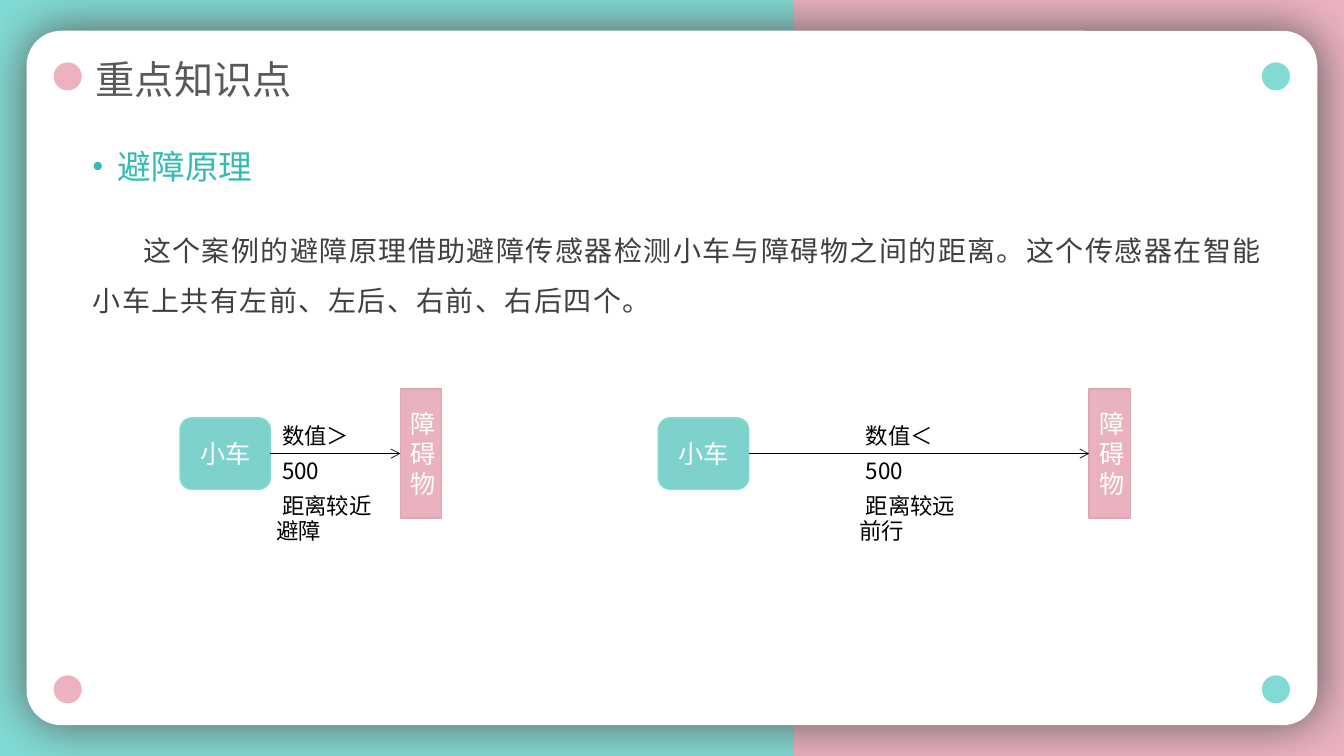
"""Build the slide on how the car avoids obstacles."""
from lxml import etree
from pptx import Presentation
from pptx.dml.color import RGBColor
from pptx.enum import shapes as kinds, text as modes
from pptx.oxml import ns
from pptx.util import Pt

HUES = {
    "mint": "81DBD4", "pink": "ECB2C0", "white": "FFFFFF", "gray": "595959",
    "teal": "35BBB1", "ink": "404040", "black": "000000",
    "car": "7ED2CC", "rim": "80DBD4", "wall": "EAB1BF", "edge": "DCA8B5",
}
FONT = "Noto Sans CJK SC"
FORM = kinds.MSO_SHAPE
ALIGN = modes.PP_ALIGN
MID = modes.MSO_ANCHOR.MIDDLE


def hue(name):
    """Return a named colour."""
    return RGBColor.from_string(HUES[name])


def sub(node, tag, **attrs):
    """Append a drawing element to a node."""
    return etree.SubElement(node, ns.qn(tag), attrs)


def add_run(par, words, size, color, font=FONT, gap=None):
    """Add one run of text to a paragraph."""
    run = par.add_run()
    run.text = words
    run.font.size = Pt(size)
    run.font.name = font
    run.font.color.rgb = hue(color)
    props = run.font._element
    sub(props, "a:ea", typeface=FONT)
    if gap:
        props.set("spc", str(gap * 100))


def add_form(tree, kind, box, fill, line=None, words=None):
    """Add a filled shape, with a border and a label if given."""
    form = tree.add_shape(kind, *map(Pt, box))
    form.shadow.inherit = False
    form.fill.solid()
    form.fill.fore_color.rgb = hue(fill)
    if line:
        form.line.color.rgb = hue(line)
        form.line.width = Pt(1)
    else:
        form.line.fill.background()
    if words:
        frame = form.text_frame
        frame.word_wrap = True
        frame.vertical_anchor = MID
        par = frame.paragraphs[0]
        par.alignment = ALIGN.CENTER
        add_run(par, words, 18, "white")
    return form


def add_text(tree, box, lines, size, color, font=FONT, gap=None,
             space=1.0, pad=3.6, anchor=None):
    """Add a text box and return its paragraphs."""
    frame = tree.add_textbox(*map(Pt, box)).text_frame
    frame.word_wrap = True
    frame.margin_left = frame.margin_right = 0
    frame.margin_top = frame.margin_bottom = Pt(pad)
    if anchor is not None:
        frame.vertical_anchor = anchor
    for i, words in enumerate(lines):
        par = frame.add_paragraph() if i else frame.paragraphs[0]
        par.line_spacing = space
        add_run(par, words, size, color, font, gap)
    return frame.paragraphs


def add_arrow(tree, start, end):
    """Join the right side of one shape to the left side of another."""
    arrow = tree.add_connector(kinds.MSO_CONNECTOR.STRAIGHT, 0, 0, 0, 0)
    arrow.begin_connect(start, 3)
    arrow.end_connect(end, 1)
    arrow.line.color.rgb = hue("black")
    arrow.line.width = Pt(0.5)
    sub(arrow.line._get_or_add_ln(), "a:tailEnd", type="arrow")
    sub(arrow._element.spPr, "a:effectLst")


def add_card(tree):
    """Add the white card with its soft shadow and corner dots."""
    add_form(tree, FORM.RECTANGLE, (-1.4, 0, 568.4, 540), "mint")
    card = add_form(tree, FORM.ROUNDED_RECTANGLE, (19, 22, 922, 496), "white")
    card.adjustments[0] = 0.05
    glow = sub(card._element.spPr.find(ns.qn("a:effectLst")), "a:outerShdw",
               blurRad=str(Pt(36)), dist=str(Pt(1)), dir="0",
               algn="ctr", rotWithShape="0")
    sub(glow, "a:srgbClr", val=HUES["gray"])
    for top in (44.6, 482.4):
        for left, color in ((38.4, "pink"), (901.4, "mint")):
            add_form(tree, FORM.OVAL, (left, top, 20, 20), color)


def add_scene(tree, left, right, note, facts, act):
    """Add a car, an obstacle, the arrow between them and its notes."""
    group = tree.add_group_shape().shapes
    wall = add_form(group, FORM.RECTANGLE, (right, 278, 29.6, 92),
                    "wall", "edge", "障碍物")
    car = add_form(group, FORM.ROUNDED_RECTANGLE, (left, 298.5, 64.6, 51),
                   "car", "rim", "小车")
    add_arrow(group, car, wall)
    add_text(group, (note, 296, 70, 50.4), facts, 16, "black",
             space=1.3, pad=0)
    add_text(group, (note - 4.4, 363.6, 36, 25), [act], 16, "black",
             space=1.3, pad=0)


def main():
    """Build and save the slide."""
    deck = Presentation()
    deck.slide_width, deck.slide_height = Pt(960), Pt(540)
    slide = deck.slides.add_slide(deck.slide_layouts[6])
    back = slide.background.fill
    back.solid()
    back.fore_color.rgb = hue("pink")
    tree = slide.shapes
    add_card(tree)
    add_text(tree, (68.4, 39.6, 402.5, 37.4), ["重点知识点"], 28, "gray",
             space=0.9, anchor=MID)
    head = add_text(tree, (66.2, 100.8, 583.2, 36), ["避障原理"], 24, "teal",
                    font="Arial", anchor=MID)[0]
    props = head._p.get_or_add_pPr()
    props.set("marL", str(Pt(18)))
    props.set("indent", str(Pt(-18)))
    sub(props, "a:buSzPct", val="90000")
    sub(props, "a:buFont", typeface="Arial")
    sub(props, "a:buChar", char="•")
    body = add_text(
        tree, (66.2, 151.2, 841.7, 80),
        ["这个案例的避障原理借助避障传感器检测小车与障碍物之间的距离。"
         "这个传感器在智能小车上共有左前、左后、右前、右后四个。"],
        20, "ink", gap=1, space=1.5)[0]
    body._p.get_or_add_pPr().set("indent", str(Pt(36)))
    add_scene(tree, 128.6, 286, 201.6, ["数值＞500", "距离较近"], "避障")
    add_scene(tree, 470.2, 778, 618.4, ["数值＜500", "距离较远"], "前行")
    deck.save("out.pptx")


if __name__ == "__main__":
    main()
